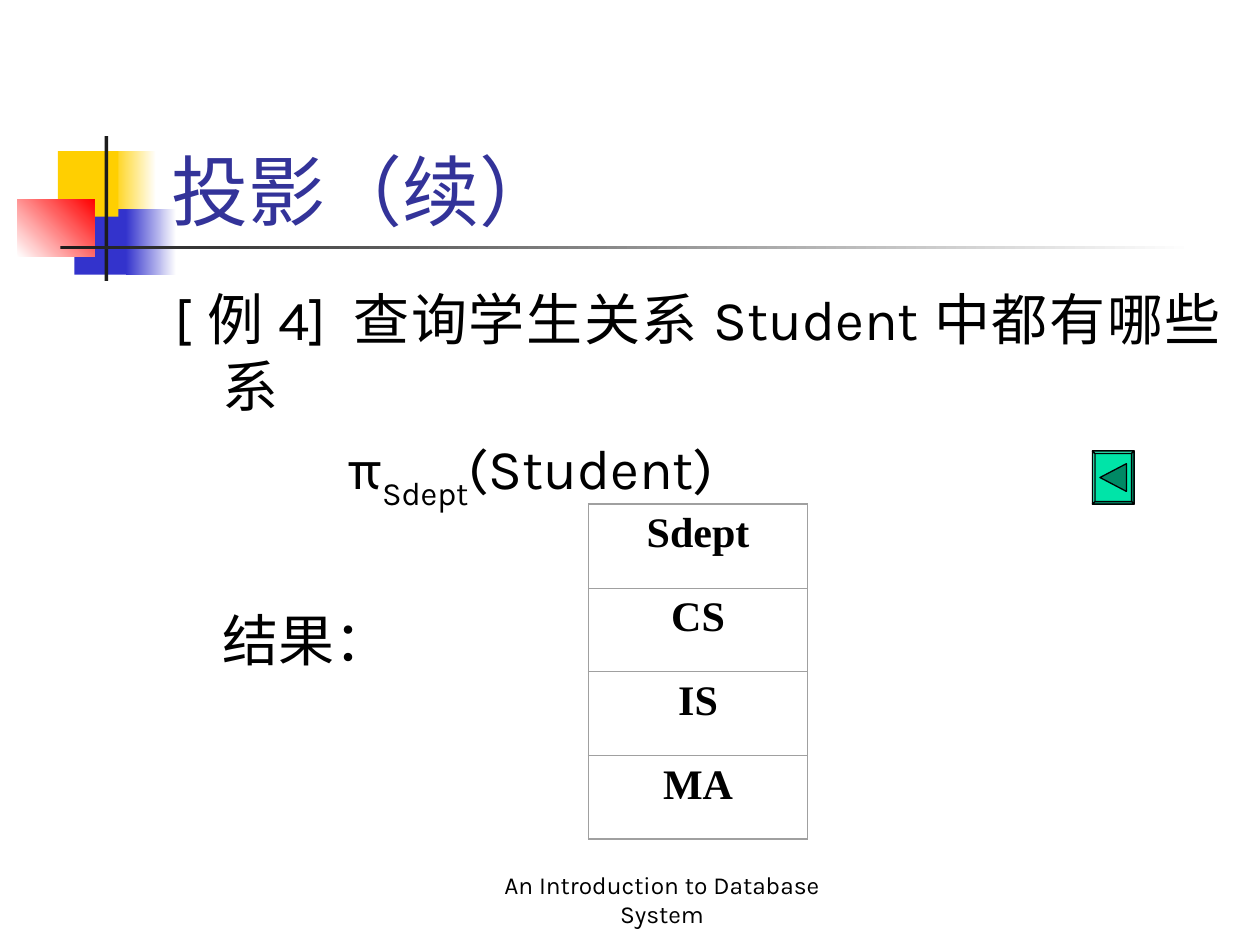
from dataclasses import dataclass
from lxml import etree
from pptx import Presentation, util as u
from pptx.dml.color import RGBColor
from pptx.enum import shapes, text
from pptx.oxml import ns

I = u.Inches
LEFT, MID, JUST = text.PP_ALIGN.LEFT, text.PP_ALIGN.CENTER, text.PP_ALIGN.JUSTIFY


@dataclass
class Theme:
    font: str = "Karla"
    serif: str = "Times New Roman"
    black: str = "000000"
    white: str = "FFFFFF"
    ink: str = "1C1C1C"
    title: str = "333399"
    gold: str = "FFCF01"
    blue: str = "3333CC"
    red: str = "FF0000"
    grid: str = "A0A0A0"
    green: str = "00E4A8"
    light: str = "33E9B9"
    dark: str = "008965"
    head: int = 44
    body: int = 32
    cell: int = 24
    foot: int = 14


def rgb(code):
    return RGBColor.from_string(code)


class Page:
    def __init__(self, slide, theme):
        self.slide = slide
        self.theme = theme

    def font(self, para, size, color, name=None, bold=False):
        font = para.font
        font.size = u.Pt(size)
        font.name = name or self.theme.font
        font.bold = bold
        font.color.rgb = rgb(color)

    def rect(self, box, start, end=None, angle=0):
        item = self.slide.shapes.add_shape(shapes.MSO_SHAPE.RECTANGLE, *map(I, box))
        item.shadow.inherit = False
        item.line.fill.background()
        if end:
            item.fill.gradient()
            item.fill.gradient_angle = angle
            for stop, color in zip(item.fill.gradient_stops, (start, end)):
                stop.color.rgb = rgb(color)
        else:
            item.fill.solid()
            item.fill.fore_color.rgb = rgb(start)

    def text(self, box, paras, size, color, anchor=text.MSO_ANCHOR.TOP):
        frame = self.slide.shapes.add_textbox(*map(I, box)).text_frame
        frame.word_wrap = True
        frame.vertical_anchor = anchor
        for i, (words, align, margin, indent, before, tab) in enumerate(paras):
            para = frame.add_paragraph() if i else frame.paragraphs[0]
            para.alignment = align
            para.space_before = u.Pt(before)
            props = para._p.get_or_add_pPr()
            props.set("marL", str(I(margin)))
            props.set("indent", str(I(indent)))
            if tab:
                tabs = etree.SubElement(props, ns.qn("a:tabLst"))
                etree.SubElement(tabs, ns.qn("a:tab"), pos=str(I(tab)), algn="l")
            self.font(para, size, color)
            for word, base in words:
                run = para.add_run()
                run.text = word
                if base:
                    run.font._element.set("baseline", str(base))

    def edge(self, cell, side, width):
        props = cell._tc.get_or_add_tcPr()
        line = etree.SubElement(props, ns.qn("a:" + side), w=str(u.Pt(width)))
        fill = etree.SubElement(line, ns.qn("a:solidFill"))
        etree.SubElement(fill, ns.qn("a:srgbClr"), val=self.theme.grid)

    def table(self, box, rows):
        grid = self.slide.shapes.add_table(len(rows), 1, *map(I, box)).table
        last = len(rows) - 1
        for i, word in enumerate(rows):
            cell = grid.cell(i, 0)
            cell.text = word
            para = cell.text_frame.paragraphs[0]
            para.alignment = MID
            self.font(para, self.theme.cell, self.theme.black, self.theme.serif, True)
            self.edge(cell, "lnL", 0.88)
            self.edge(cell, "lnR", 0.88)
            self.edge(cell, "lnT", 0.25 if i else 0.88)
            self.edge(cell, "lnB", 0.25 if i < last else 0.88)
            cell.fill.background()

    def poly(self, points, color):
        pts = [(I(x), I(y)) for x, y in points]
        pen = self.slide.shapes.build_freeform(*pts[0])
        pen.add_line_segments(pts[1:], close=True)
        item = pen.convert_to_shape()
        item.shadow.inherit = False
        item.fill.solid()
        item.fill.fore_color.rgb = rgb(color)
        item.line.color.rgb = rgb(self.theme.black)
        item.line.width = u.Pt(0.75)

    def button(self, left, top, wide, high, rim):
        t = self.theme

        def ring(d):
            l, r, a, b = left + d, left + wide - d, top + d, top + high - d
            return [(l, a), (r, a), (r, b), (l, b)]

        outer, inner = ring(0), ring(rim)
        self.poly(outer, t.green)
        for i, color in enumerate((t.light, t.dark, t.dark, t.light)):
            j = (i + 1) % 4
            self.poly([outer[i], outer[j], inner[j], inner[i]], color)
        mid = top + high / 2
        tip, back = left + 0.06, left + 0.27
        self.poly([(tip, mid), (back, mid - 0.11), (back, mid + 0.11)], t.dark)


def main():
    deck = Presentation()
    deck.slide_width, deck.slide_height = I(10), I(7.5)
    t = Theme()
    page = Page(deck.slides.add_slide(deck.slide_layouts[6]), t)

    for block in (
        ((0.88, 1.2, 0.36, 0.52), t.gold, t.white),
        ((0.59, 1.66, 0.46, 0.52), t.blue),
        ((0.46, 1.2, 0.48, 0.52), t.gold),
        ((1, 1.66, 0.4, 0.52), t.blue, t.white),
        ((0.14, 1.58, 0.61, 0.46), t.white, t.red, 45),
        ((0.83, 1.08, 0.03, 1.15), t.ink),
        ((0.48, 1.95, 9, 0.03), t.ink, t.white),
    ):
        page.rect(*block)

    low = text.MSO_ANCHOR.BOTTOM
    foot = [("An Introduction to Database System", 0)]
    page.text((3.67, 6.92, 3.17, 0.5), [(foot, MID, 0, 0, 0, 0)], t.foot, t.black, low)
    head = [("投影（续）", 0)]
    page.text((1.26, 0.67, 8.52, 1.25), [(head, LEFT, 0, 0, 0, 0)], t.head, t.title, low)

    ask = [("[例4]\t查询学生关系Student中都有哪些系", 0)]
    query = [("π", 0), ("Sdept", -30000), ("(Student)", 0)]
    page.text((1.29, 2.21, 8.5, 4.5), [
        (ask, JUST, 0.38, -0.38, 0, 1.52),
        (query, LEFT, 1.37, 0, 8, 0),
        ([("结果：", 0)], LEFT, 0.38, 0, 53, 0),
    ], t.body, t.black)

    page.table((4.67, 4, 1.74, 2.66), ["Sdept", "CS", "IS", "MA"])
    page.button(8.67, 3.58, 0.33, 0.42, 0.02)
    deck.save("out.pptx")


if __name__ == "__main__":
    main()
